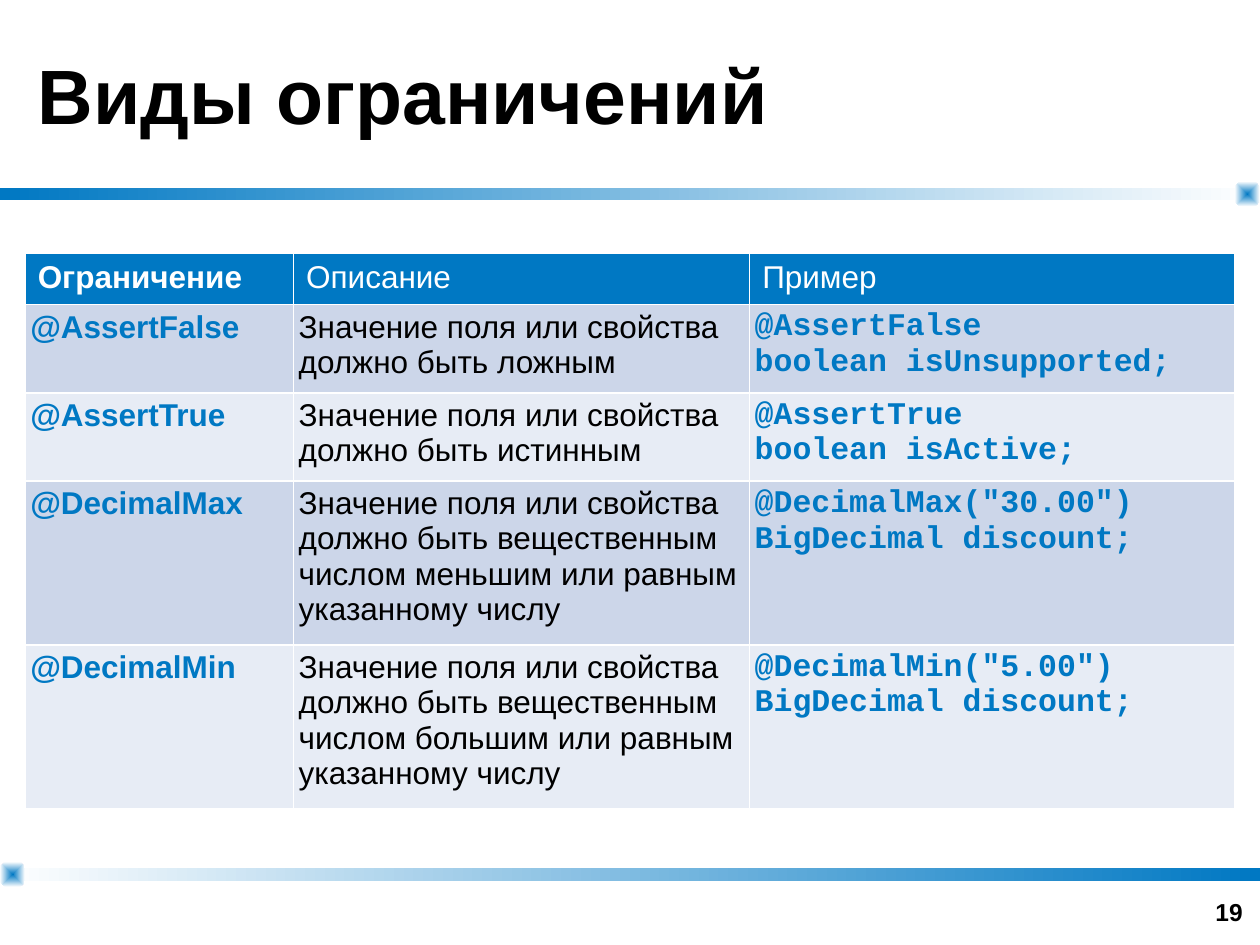
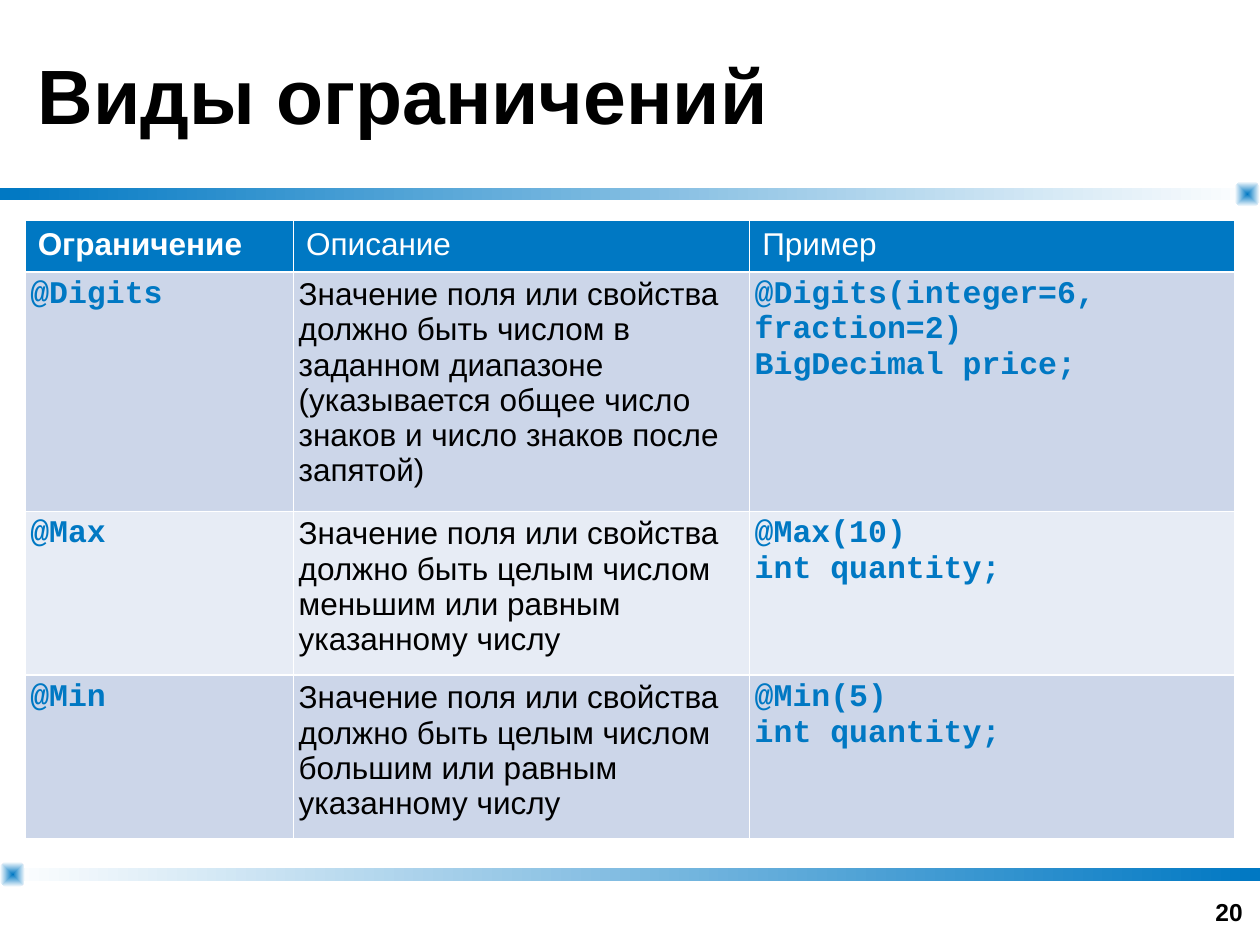
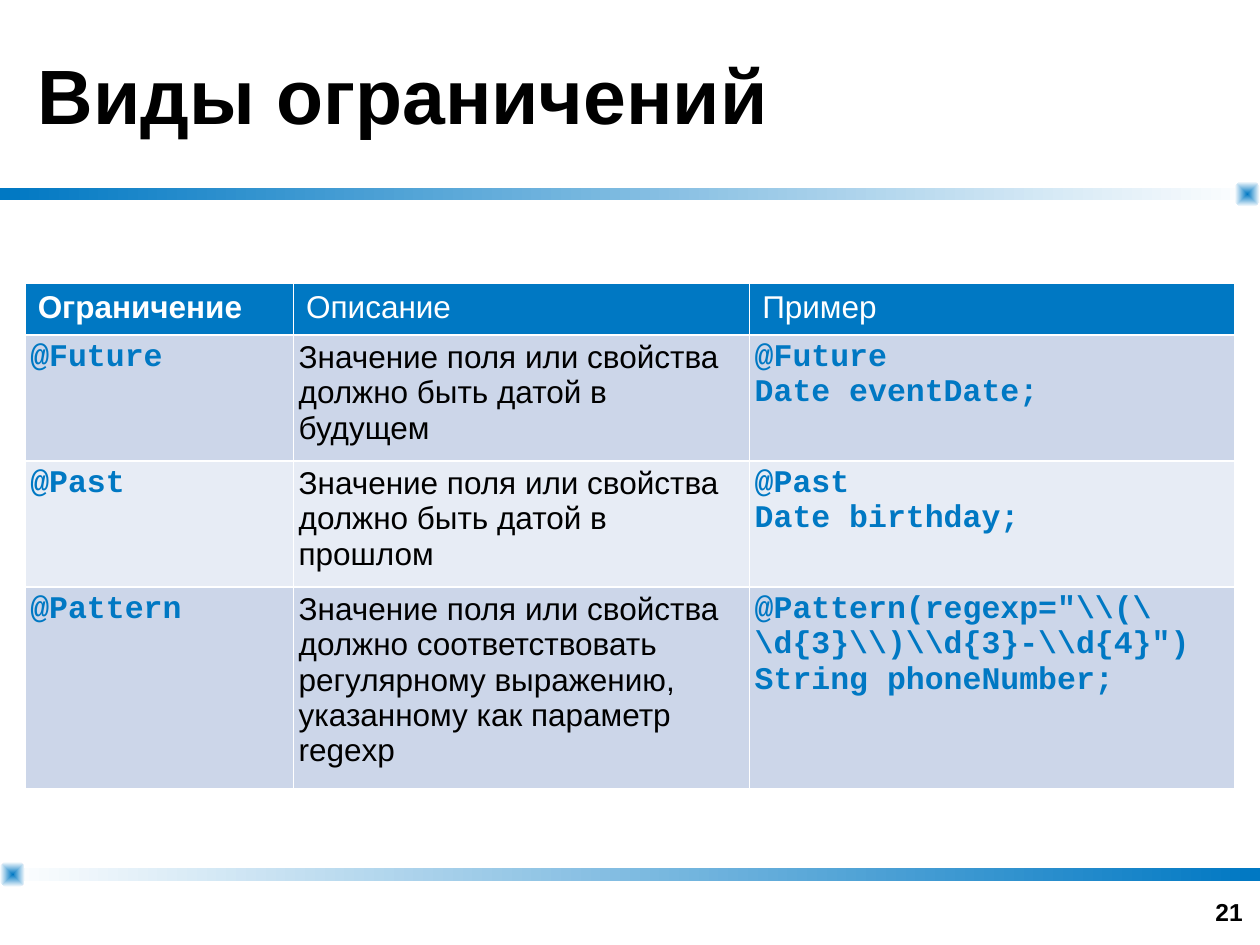
from dataclasses import dataclass

from lxml import etree
from pptx import Presentation
from pptx.dml.color import RGBColor
from pptx.enum.shapes import MSO_SHAPE as Shape
from pptx.enum.text import MSO_ANCHOR as Anchor, PP_ALIGN as Align
from pptx.oxml.ns import qn
from pptx.util import Pt

BLUE, WHITE, BLACK = "0078C3", "FFFFFF", "000000"
BANDS = ("CCD6E9", "E7ECF5")
SANS, MONO = "Arial", "Courier New"

SLIDE_W, SLIDE_H = 720, 540
MARGIN = 14.4
TITLE = "Виды ограничений"
TITLE_H = 107.3
BAR_H, KNOB = 7.2, 14.4
HEADERS = ("Ограничение", "Описание", "Пример")
COL_WIDTHS = (153.4, 260.6, 277.2)
HEADER_H, LINE_H, ROW_PAD = 29.4, 21.6, 7.2
HEADER_INSETS = (7.2, 3.6, 7.2, 3.6)
BODY_INSETS = (2.9, 2.9, 2.9, 4.3)


@dataclass(frozen=True)
class Style:
    font: str = SANS
    size: float = 18
    color: str = BLACK
    bold: bool = False


TITLE_STYLE = Style(size=44, bold=True)
NUMBER_STYLE = Style(size=14, bold=True)
TEXT_STYLE = Style()
CODE_STYLE = Style(MONO, color=BLUE, bold=True)


@dataclass(frozen=True)
class Bar:
    top: float
    start: str
    end: str
    knob_left: float


BARS = (
    Bar(107.3, BLUE, WHITE, SLIDE_W - KNOB),
    Bar(496.1, WHITE, BLUE, 0),
)


@dataclass(frozen=True)
class Constraint:
    name: str
    description: str
    example: tuple[str, ...]
    lines: int


@dataclass(frozen=True)
class Page:
    number: int
    table_top: float
    name_font: str
    constraints: tuple[Constraint, ...]


PAGES = (
    Page(19, 144.7, SANS, (
        Constraint("@AssertFalse", "Значение поля или свойства должно быть ложным",
                   ("@AssertFalse", "boolean isUnsupported;"), 2),
        Constraint("@AssertTrue", "Значение поля или свойства должно быть истинным",
                   ("@AssertTrue", "boolean isActive;"), 2),
        Constraint("@DecimalMax",
                   "Значение поля или свойства должно быть вещественным числом "
                   "меньшим или равным указанному числу",
                   ('@DecimalMax("30.00")', "BigDecimal discount;"), 4),
        Constraint("@DecimalMin",
                   "Значение поля или свойства должно быть вещественным числом "
                   "большим или равным указанному числу",
                   ('@DecimalMin("5.00")', "BigDecimal discount;"), 4),
    )),
    Page(20, 126, MONO, (
        Constraint("@Digits",
                   "Значение поля или свойства должно быть числом в заданном диапазоне "
                   "(указывается общее число знаков и число знаков после запятой)",
                   ("@Digits(integer=6, fraction=2)", "BigDecimal price;"), 6),
        Constraint("@Max",
                   "Значение поля или свойства должно быть целым числом "
                   "меньшим или равным указанному числу",
                   ("@Max(10)", "int quantity;"), 4),
        Constraint("@Min",
                   "Значение поля или свойства должно быть целым числом "
                   "большим или равным указанному числу",
                   ("@Min(5)", "int quantity;"), 4),
    )),
    Page(21, 162, MONO, (
        Constraint("@Future", "Значение поля или свойства должно быть датой в будущем",
                   ("@Future", "Date eventDate;"), 3),
        Constraint("@Past", "Значение поля или свойства должно быть датой в прошлом",
                   ("@Past", "Date birthday;"), 3),
        Constraint("@Pattern",
                   "Значение поля или свойства должно соответствовать регулярному "
                   "выражению, указанному как параметр regexp",
                   (r'@Pattern(regexp="\\(\\d{3}\\)\\d{3}-\\d{4}") String phoneNumber;',), 5),
    )),
)


def rgb(color: str) -> RGBColor:
    return RGBColor.from_string(color)


def write(tf, paragraphs: tuple[str, ...], style: Style, align=Align.LEFT) -> None:
    for i, text in enumerate(paragraphs):
        p = tf.add_paragraph() if i else tf.paragraphs[0]
        p.alignment = align
        r = p.add_run()
        r.text = text
        r.font.name = style.font
        r.font.size = Pt(style.size)
        r.font.bold = style.bold
        r.font.color.rgb = rgb(style.color)


def add_text(slide, box: tuple[float, ...], text: str, style: Style,
             anchor, align=Align.LEFT) -> None:
    tf = slide.shapes.add_textbox(*map(Pt, box)).text_frame
    tf.word_wrap = True
    tf.vertical_anchor = anchor
    write(tf, (text,), style, align)


def add_gradient_shape(slide, kind, box: tuple[float, ...], start: str, end: str):
    sp = slide.shapes.add_shape(kind, *map(Pt, box))
    sp.shadow.inherit = False
    sp.line.fill.background()
    sp.fill.gradient()
    sp.fill.gradient_angle = 0
    for stop, color, position in zip(sp.fill.gradient_stops, (start, end), (0, 1)):
        stop.color.rgb = rgb(color)
        stop.position = position
    return sp


def make_radial(sp) -> None:
    """Let the gradient run from the centre of the shape to its outline."""
    grad = sp._element.spPr.find(qn("a:gradFill"))
    grad.remove(grad.find(qn("a:lin")))
    path = etree.SubElement(grad, qn("a:path"), path="shape")
    etree.SubElement(path, qn("a:fillToRect"), l="50000", t="50000", r="50000", b="50000")


def add_bar(slide, bar: Bar) -> None:
    add_gradient_shape(slide, Shape.RECTANGLE, (0, bar.top, SLIDE_W, BAR_H),
                       bar.start, bar.end)
    knob_top = bar.top - (KNOB - BAR_H) / 2
    knob = add_gradient_shape(slide, Shape.ROUNDED_RECTANGLE,
                              (bar.knob_left, knob_top, KNOB, KNOB), BLUE, WHITE)
    knob.adjustments[0] = 0.32
    make_radial(knob)


def add_borders(cell) -> None:
    tc_pr = cell._tc.get_or_add_tcPr()
    for side in "LRTB":
        ln = etree.SubElement(tc_pr, qn(f"a:ln{side}"), w=str(Pt(1)))
        fill = etree.SubElement(ln, qn("a:solidFill"))
        etree.SubElement(fill, qn("a:srgbClr"), val=WHITE)


def fill_cell(cell, paragraphs: tuple[str, ...], style: Style, color: str,
              insets: tuple[float, ...]) -> None:
    add_borders(cell)
    cell.fill.solid()
    cell.fill.fore_color.rgb = rgb(color)
    (cell.margin_left, cell.margin_top,
     cell.margin_right, cell.margin_bottom) = map(Pt, insets)
    write(cell.text_frame, paragraphs, style)


def add_constraint_table(slide, page: Page) -> None:
    heights = [HEADER_H] + [ROW_PAD + LINE_H * c.lines for c in page.constraints]
    table = slide.shapes.add_table(
        len(heights), len(HEADERS), Pt(MARGIN), Pt(page.table_top),
        Pt(sum(COL_WIDTHS)), Pt(sum(heights))).table
    for column, width in zip(table.columns, COL_WIDTHS):
        column.width = Pt(width)
    for row, height in zip(table.rows, heights):
        row.height = Pt(height)

    for i, header in enumerate(HEADERS):
        fill_cell(table.cell(0, i), (header,), Style(color=WHITE, bold=i == 0),
                  BLUE, HEADER_INSETS)
    name_style = Style(page.name_font, color=BLUE, bold=True)
    for i, c in enumerate(page.constraints):
        contents = (((c.name,), name_style), ((c.description,), TEXT_STYLE),
                    (c.example, CODE_STYLE))
        for j, (paragraphs, style) in enumerate(contents):
            fill_cell(table.cell(i + 1, j), paragraphs, style,
                      BANDS[i % len(BANDS)], BODY_INSETS)


def add_page(prs, page: Page) -> None:
    slide = prs.slides.add_slide(prs.slide_layouts[6])
    for bar in BARS:
        add_bar(slide, bar)
    add_text(slide, (MARGIN, 0, SLIDE_W - 2 * MARGIN, TITLE_H), TITLE,
             TITLE_STYLE, Anchor.MIDDLE)
    add_constraint_table(slide, page)
    add_text(slide, (549.4, 496.8, 167.8, 36), str(page.number),
             NUMBER_STYLE, Anchor.BOTTOM, Align.RIGHT)


def main() -> None:
    prs = Presentation()
    prs.slide_width, prs.slide_height = Pt(SLIDE_W), Pt(SLIDE_H)
    for page in PAGES:
        add_page(prs, page)
    prs.save("out.pptx")


if __name__ == "__main__":
    main()
